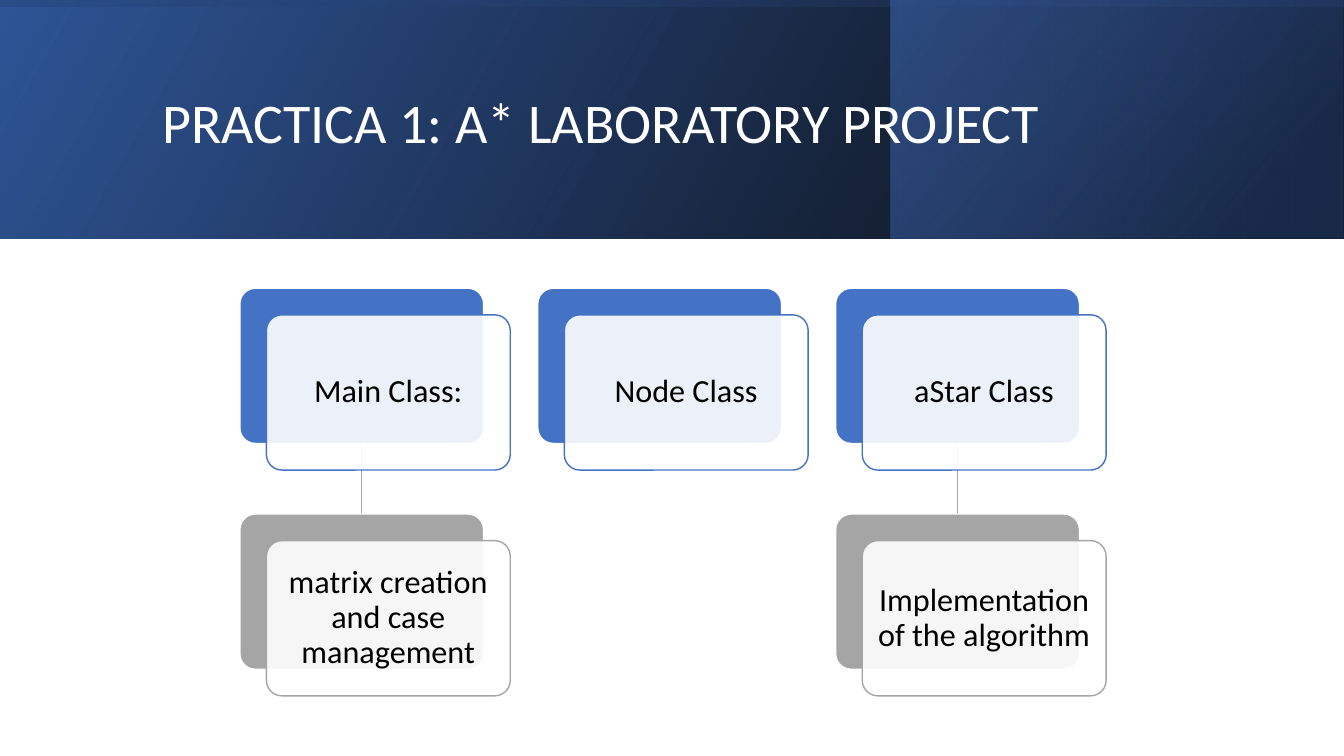
from lxml.etree import SubElement
from pptx import Presentation
from pptx.dml.color import RGBColor
from pptx.enum.shapes import MSO_CONNECTOR, MSO_SHAPE
from pptx.enum.text import MSO_ANCHOR, MSO_AUTO_SIZE, PP_ALIGN
from pptx.oxml.ns import qn
from pptx.util import Pt

WHITE = RGBColor(0xFF, 0xFF, 0xFF)
BLACK = RGBColor(0x00, 0x00, 0x00)
BLUE = RGBColor(0x44, 0x72, 0xC4)
DEEP_BLUE = RGBColor(0x2F, 0x55, 0x97)
NAVY = RGBColor(0x20, 0x38, 0x64)
GRAY = RGBColor(0xA5, 0xA5, 0xA5)
FONT = "Calibri"

SLIDE_WIDTH, SLIDE_HEIGHT, BANNER_HEIGHT = 960, 540, 170.6
CARD_WIDTH, CARD_HEIGHT, CARD_OFFSET = 174.2, 110.9, 19
FIRST_LEFT, COLUMN_STEP = 171.3, 212.8
CLASS_TOP, DETAIL_TOP = 205.9, 367.2

# Class name and, where there is one, what the class does
CLASSES = [
    ("Main Class:", "matrix creation and case management"),
    ("Node Class", None),
    ("aStar Class", "Implementation of the algorithm"),
]


def set_opacity(shape, *percents):
    """Give the fill colours of a shape their opacity, in order."""
    colors = list(shape._element.spPr.iter(qn("a:srgbClr")))
    for color, percent in zip(colors, percents):
        SubElement(color, qn("a:alpha")).set("val", str(percent * 1000))


def add_banner(slide, left, top, width, height, angle, stops, rotation=0):
    """Add a mirrored rectangle with a gradient of (position, colour, opacity) stops."""
    banner = slide.shapes.add_shape(
        MSO_SHAPE.RECTANGLE, Pt(left), Pt(top), Pt(width), Pt(height))
    banner.shadow.inherit = False
    banner.rotation = rotation
    banner._element.spPr.xfrm.set("flipH", "1")
    banner.line.fill.background()
    banner.fill.gradient()
    banner.fill.gradient_angle = angle
    for stop, (position, color, _) in zip(banner.fill.gradient_stops, stops):
        stop.position = position
        stop.color.rgb = color
    set_opacity(banner, *(opacity for _, _, opacity in stops))


def set_text(shape, text, size, color, alignment):
    """Write one middle-anchored paragraph into a shape."""
    frame = shape.text_frame
    frame.text = text
    frame.word_wrap = True
    frame.auto_size = MSO_AUTO_SIZE.NONE
    frame.vertical_anchor = MSO_ANCHOR.MIDDLE
    para = frame.paragraphs[0]
    para.alignment = alignment
    para.line_spacing = 0.9
    para.font.name = FONT
    para.font.size = Pt(size)
    para.font.color.rgb = color


def add_title(slide, text):
    """Place the title over the banner."""
    title = slide.shapes.title
    title.left, title.top = Pt(108.7), Pt(27.4)
    title.width, title.height = Pt(765.4), Pt(123.8)
    set_text(title, text, 40, WHITE, PP_ALIGN.LEFT)


def add_panel(slide, left, top, fill, line):
    """Add one rounded panel of a card."""
    panel = slide.shapes.add_shape(
        MSO_SHAPE.ROUNDED_RECTANGLE, Pt(left), Pt(top), Pt(CARD_WIDTH), Pt(CARD_HEIGHT))
    panel.adjustments[0] = 0.1
    panel.shadow.inherit = False
    panel.fill.solid()
    panel.fill.fore_color.rgb = fill
    panel.line.color.rgb = line
    panel.line.width = Pt(1)
    return panel


def add_card(slide, left, top, color, text):
    """Add a coloured panel with a translucent text panel in front."""
    add_panel(slide, left, top, color, WHITE)
    front = add_panel(slide, left + CARD_OFFSET, top + CARD_OFFSET, WHITE, color)
    set_opacity(front, 90)
    frame = front.text_frame
    frame.margin_left = frame.margin_right = Pt(7)
    frame.margin_top = frame.margin_bottom = Pt(7)
    set_text(front, text, 23, BLACK, PP_ALIGN.CENTER)


def add_link(slide, left):
    """Join a class card to the detail card below it."""
    center = Pt(left + CARD_WIDTH / 2)
    link = slide.shapes.add_connector(
        MSO_CONNECTOR.STRAIGHT, center, Pt(CLASS_TOP + CARD_HEIGHT), center, Pt(DETAIL_TOP))
    link.line.color.rgb = GRAY
    link.line.width = Pt(1)
    SubElement(link._element.spPr, qn("a:effectLst"))


def main():
    """Build the slide and save it."""
    deck = Presentation()
    deck.slide_width, deck.slide_height = Pt(SLIDE_WIDTH), Pt(SLIDE_HEIGHT)
    slide = deck.slides.add_slide(deck.slide_layouts[5])

    add_banner(slide, 0, 0, SLIDE_WIDTH, BANNER_HEIGHT, 30,
               [(0, BLACK, 96), (1, DEEP_BLUE, 100)])
    add_banner(slide, 636.5, 0, SLIDE_WIDTH - 636.5, BANNER_HEIGHT, 40,
               [(0.19, NAVY, 68), (1, BLUE, 48)])
    turn_shift = (SLIDE_WIDTH - BANNER_HEIGHT) / 2
    add_banner(slide, turn_shift, -turn_shift, BANNER_HEIGHT, SLIDE_WIDTH, 10,
               [(0.23, DEEP_BLUE, 16), (0.99, BLACK, 45)], rotation=270)

    title = slide.shapes.title
    slide.shapes._spTree.append(title._element)  # bring in front of the banner
    add_title(slide, "PRACTICA 1: A* LABORATORY PROJECT")

    for column, (name, detail) in enumerate(CLASSES):
        left = FIRST_LEFT + column * COLUMN_STEP
        if detail:
            add_link(slide, left)
            add_card(slide, left, DETAIL_TOP, GRAY, detail)
        add_card(slide, left, CLASS_TOP, BLUE, name)

    deck.save("out.pptx")


main()
